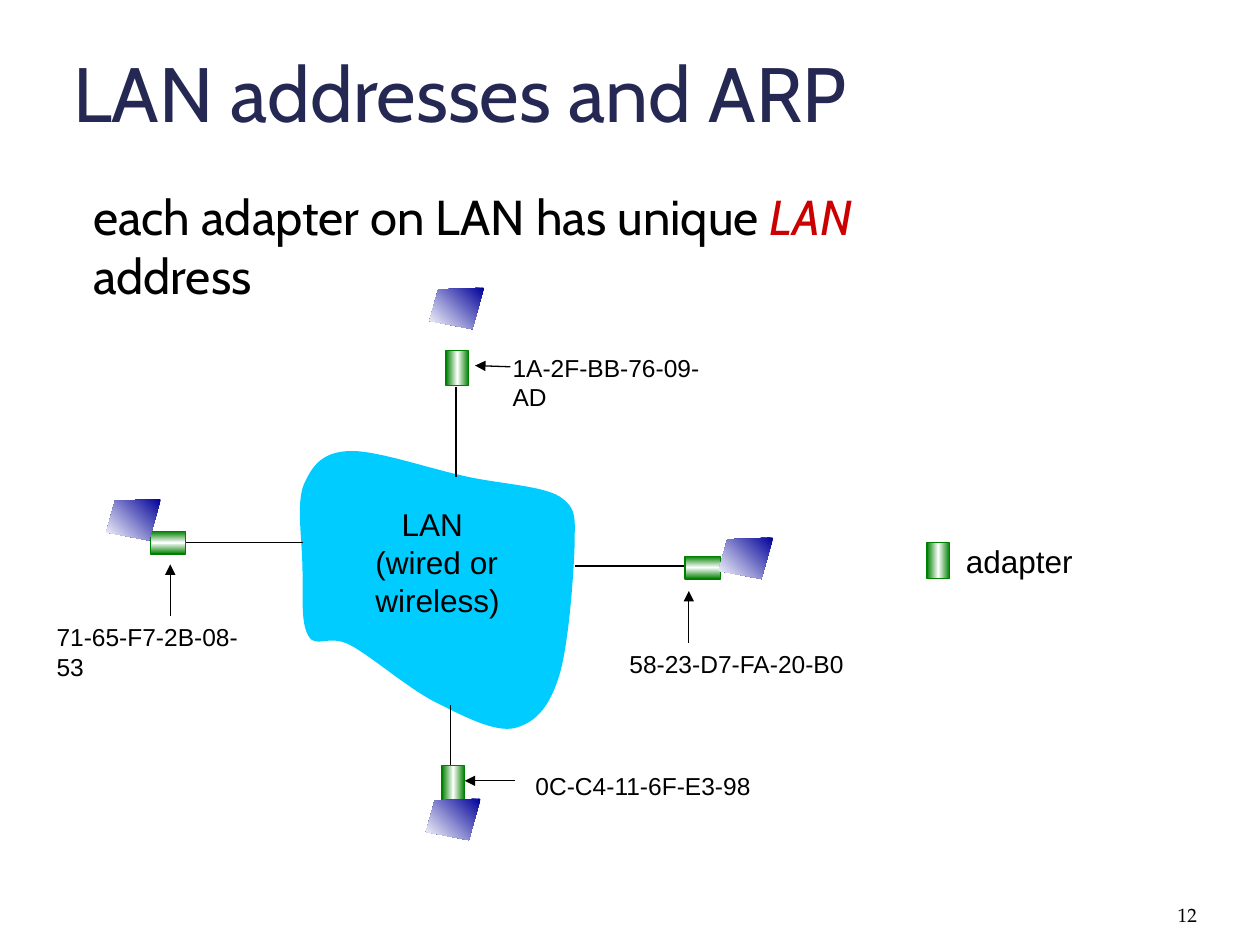
from lxml import etree
from pptx import Presentation
from pptx.dml.color import RGBColor
from pptx.enum.shapes import MSO_CONNECTOR, MSO_SHAPE
from pptx.enum.text import MSO_ANCHOR, MSO_AUTO_SIZE, PP_ALIGN
from pptx.oxml import parse_xml
from pptx.oxml.ns import nsdecls, qn
from pptx.util import Pt

STRAIGHT = MSO_CONNECTOR.STRAIGHT
RECTANGLE = MSO_SHAPE.RECTANGLE
BOTTOM = MSO_ANCHOR.BOTTOM
TOP = MSO_ANCHOR.TOP
GROW = MSO_AUTO_SIZE.SHAPE_TO_FIT_TEXT
NO_FIT = MSO_AUTO_SIZE.NONE
LEFT, RIGHT = PP_ALIGN.LEFT, PP_ALIGN.RIGHT

NAVY = RGBColor(0x24, 0x28, 0x52)
BLACK = RGBColor(0, 0, 0)
RED = RGBColor(0xCC, 0, 0)
CYAN = RGBColor(0, 0xCC, 0xFF)
GREEN = RGBColor(0, 0x80, 0)
BLUE = RGBColor(0, 0, 0x99)
WHITE = RGBColor(0xFF, 0xFF, 0xFF)

TITLE = "LAN addresses and ARP"
STATEMENT = [("each adapter on LAN has unique ", BLACK, False),
             ("LAN", RED, True), (" address", BLACK, False)]
LAN_LINES = ["LAN", "(wired or", "wireless)"]

# Text, then left, top, width, height and font size
LABELS = [
    ("adapter", (544.8, 306.4, 76, 29), 18),
    ("1A-2F-BB-76-09-AD", (285.8, 198, 140.4, 24), 14),
    ("58-23-D7-FA-20-B0", (352.6, 367.2, 138, 24), 14),
    ("0C-C4-11-6F-E3-98", (298.9, 437, 138, 24), 14),
    ("71-65-F7-2B-08-53", (25.2, 352.1, 133.2, 24), 14),
]
CABLES = [((102.2, 310.2), (173.2, 310.2)), ((260.6, 221), (260.6, 272.8)),
          ((391.7, 323.4), (328.5, 323.4)), ((257.6, 437), (257.6, 402.6))]
POINTERS = [((291.7, 209.6), (271.5, 208.9)), ((393.6, 367.2), (393.6, 337.7)),
            ((294.4, 446.2), (265.6, 446.2)), ((97.3, 352), (97.3, 322.5))]

# Adapter left and top, rotation, then screen left and top
HOSTS = [
    ((89.5, 300), 270, (60.7, 285.2)),
    ((252.5, 437.6), 0, (243.4, 456.4)),
    ((254.9, 200.3), 0, (245.4, 164.4)),
    ((395.1, 314.2), 270, (410.6, 307.2)),
]
LEGEND_ADAPTER = (529.7, 310.2)
ADAPTER_SIZE = (13, 20.2)
SCREEN_OUTLINE = [(31.2, 0), (5, 1), (0, 19), (24.5, 23.7)]

# Cloud outline in inches: start, then two control points and an end per curve
CLOUD_START = (2.77, 3.58)
CLOUD_CURVES = [
    ((2.56, 3.59), (2.48, 3.69), (2.41, 3.85)),
    ((2.35, 4), (2.4, 4.3), (2.4, 4.5)),
    ((2.41, 4.7), (2.38, 4.94), (2.45, 5.05)),
    ((2.51, 5.15), (2.61, 5.03), (2.78, 5.12)),
    ((2.95, 5.21), (3.26, 5.48), (3.47, 5.58)),
    ((3.69, 5.69), (3.92, 5.81), (4.08, 5.78)),
    ((4.24, 5.74), (4.35, 5.63), (4.43, 5.39)),
    ((4.51, 5.16), (4.55, 4.6), (4.56, 4.36)),
    ((4.56, 4.12), (4.59, 4.04), (4.44, 3.94)),
    ((4.29, 3.85), (3.93, 3.84), (3.65, 3.77)),
    ((3.38, 3.71), (2.97, 3.57), CLOUD_START),
]


def points(values):
    return [Pt(value) for value in values]


def add_run(paragraph, text, size, font="Arial", color=BLACK, italic=False):
    run = paragraph.add_run()
    run.text = text
    run.font.name = font
    run.font.size = Pt(size)
    run.font.color.rgb = color
    run.font.italic = italic


def add_text_frame(slide, box):
    frame = slide.shapes.add_textbox(*points(box)).text_frame
    frame.word_wrap = True
    frame.auto_size = GROW
    frame.vertical_anchor = TOP
    return frame


def set_margins(frame, left, top, right, bottom):
    frame.margin_left, frame.margin_top = Pt(left), Pt(top)
    frame.margin_right, frame.margin_bottom = Pt(right), Pt(bottom)


def add_line(slide, start, end, arrow=False):
    line = slide.shapes.add_connector(STRAIGHT, *points(start + end))
    line.line.color.rgb = BLACK
    line.line.width = Pt(0.75)
    if arrow:
        tail = etree.SubElement(line.line._get_or_add_ln(), qn("a:tailEnd"))
        tail.set("type", "triangle")
    etree.SubElement(line._element.spPr, qn("a:effectLst"))


def set_gradient(shape, colors, angle):
    """Fill with evenly spaced colours; the angle runs clockwise in degrees."""
    last = len(colors) - 1
    stops = "".join(
        f'<a:gs pos="{100000 * i // last}"><a:srgbClr val="{color}"/></a:gs>'
        for i, color in enumerate(colors))
    shape.fill.background()
    empty_fill = shape._element.spPr.find(qn("a:noFill"))
    empty_fill.getparent().replace(empty_fill, parse_xml(
        f'<a:gradFill rotWithShape="1" {nsdecls("a")}><a:gsLst>{stops}</a:gsLst>'
        f'<a:lin ang="{angle * 60000}" scaled="0"/></a:gradFill>'))


def add_adapter(shapes, position, rotation=0):
    adapter = shapes.add_shape(RECTANGLE, *points(position + ADAPTER_SIZE))
    adapter.rotation = rotation
    adapter.shadow.inherit = False
    set_gradient(adapter, [GREEN, WHITE, GREEN], 0)
    adapter.line.color.rgb = GREEN
    adapter.line.width = Pt(0.75)


def add_outline(shapes, vertices):
    start, *others = [points(vertex) for vertex in vertices]
    builder = shapes.build_freeform(*start)
    builder.add_line_segments(others, close=True)
    shape = builder.convert_to_shape()
    shape.shadow.inherit = False
    shape.line.fill.background()
    return shape


def add_cloud(slide):
    """Draw the control polygon, then turn each three segments into a curve."""
    vertices = [CLOUD_START] + [vertex for curve in CLOUD_CURVES for vertex in curve]
    cloud = add_outline(slide.shapes, [(72 * x, 72 * y) for x, y in vertices])
    cloud.fill.solid()
    cloud.fill.fore_color.rgb = CYAN
    segments = list(cloud._element.iter(qn("a:lnTo")))
    for i in range(0, 3 * len(CLOUD_CURVES), 3):
        curve = etree.Element(qn("a:cubicBezTo"))
        segments[i].addprevious(curve)
        for segment in segments[i:i + 3]:
            curve.append(segment[0])
            segment.getparent().remove(segment)


def main():
    presentation = Presentation()
    presentation.slide_width, presentation.slide_height = Pt(720), Pt(540)
    slide = presentation.slides.add_slide(presentation.slide_layouts[5])

    title = slide.shapes.title
    title.left, title.top, title.width, title.height = points((41.8, 10.5, 612, 68.4))
    frame = title.text_frame
    frame.auto_size = NO_FIT
    frame.vertical_anchor = BOTTOM
    set_margins(frame, 0, 3.6, 0, 0)
    frame.paragraphs[0].alignment = LEFT
    add_run(frame.paragraphs[0], TITLE, 44, "Cabin", NAVY)

    frame = add_text_frame(slide, (46.1, 103, 543.6, 41))
    for text, color, italic in STATEMENT:
        add_run(frame.paragraphs[0], text, 28, "Cabin", color, italic)

    add_cloud(slide)
    for start, end in CABLES:
        add_line(slide, start, end)
    for start, end in POINTERS:
        add_line(slide, start, end, arrow=True)
    for text, box, size in LABELS:
        add_run(add_text_frame(slide, box).paragraphs[0], text, size)

    frame = add_text_frame(slide, (207.4, 285.1, 86, 72))
    for i, text in enumerate(LAN_LINES):
        paragraph = frame.add_paragraph() if i else frame.paragraphs[0]
        add_run(paragraph, text, 18)
    frame.paragraphs[0]._p.get_or_add_pPr().set("marL", str(Pt(15)))

    add_adapter(slide.shapes, LEGEND_ADAPTER)
    for adapter_position, rotation, (left, top) in HOSTS:
        host = slide.shapes.add_group_shape().shapes
        add_adapter(host, adapter_position, rotation)
        screen = add_outline(host, [(left + x, top + y) for x, y in SCREEN_OUTLINE])
        set_gradient(screen, [BLUE, WHITE], 135)

    frame = add_text_frame(slide, (624.2, 500.4, 59.8, 28.8))
    frame.auto_size = NO_FIT
    frame.vertical_anchor = BOTTOM
    set_margins(frame, 0, 0, 0, 0)
    frame.paragraphs[0].alignment = RIGHT
    add_run(frame.paragraphs[0], "12", 11, "TeX Gyre Pagella")

    presentation.save("out.pptx")


if __name__ == "__main__":
    main()
